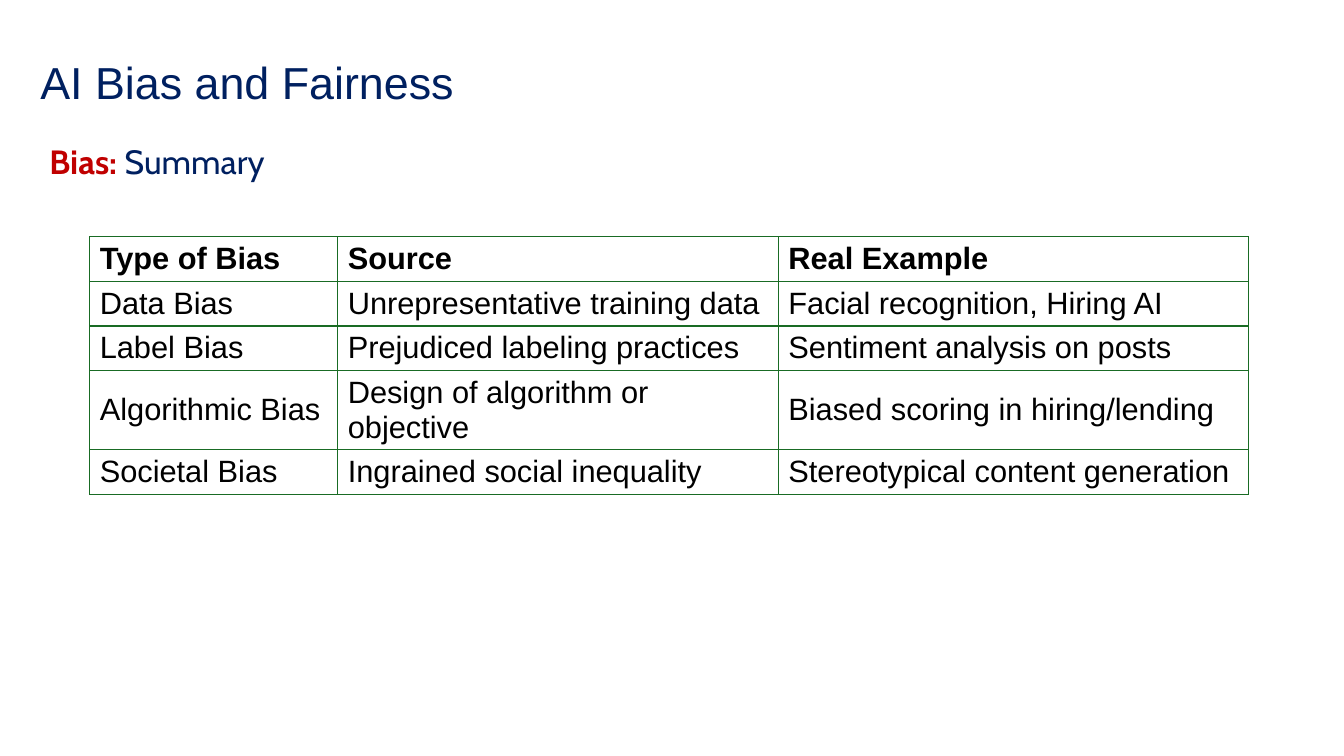
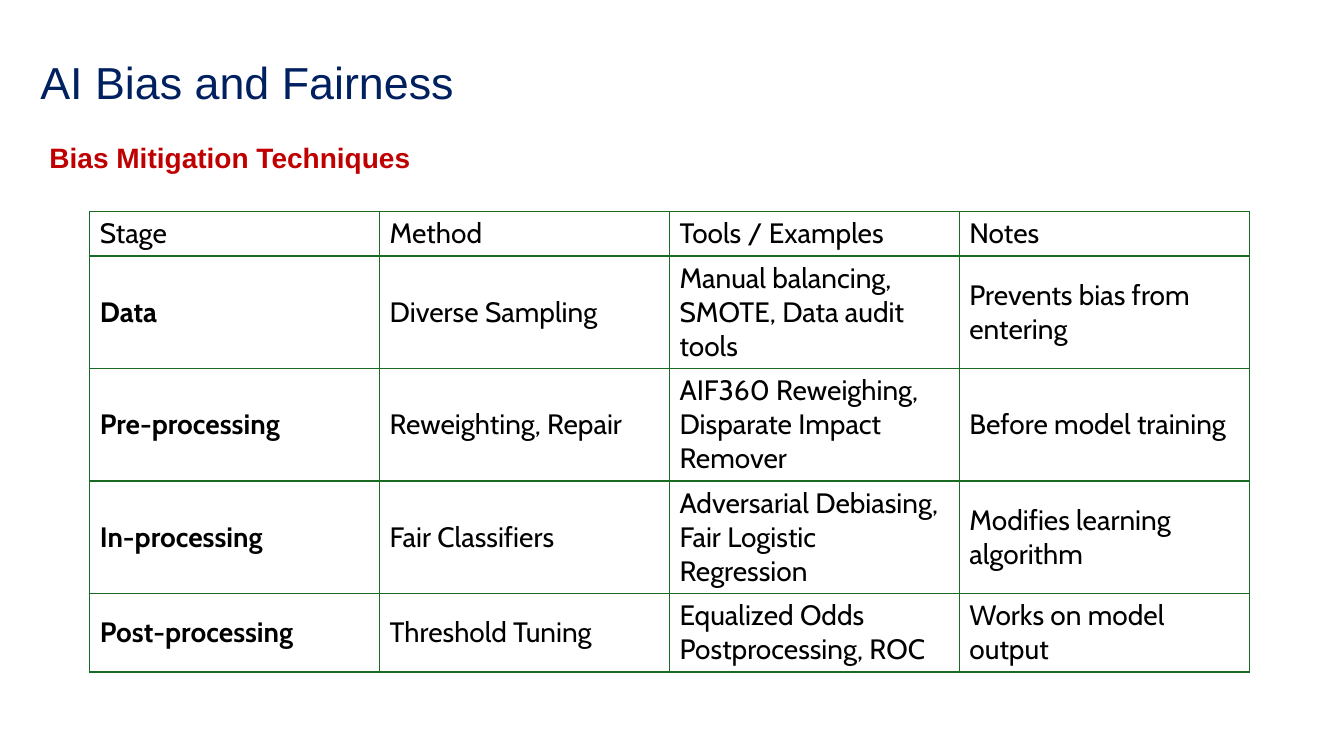
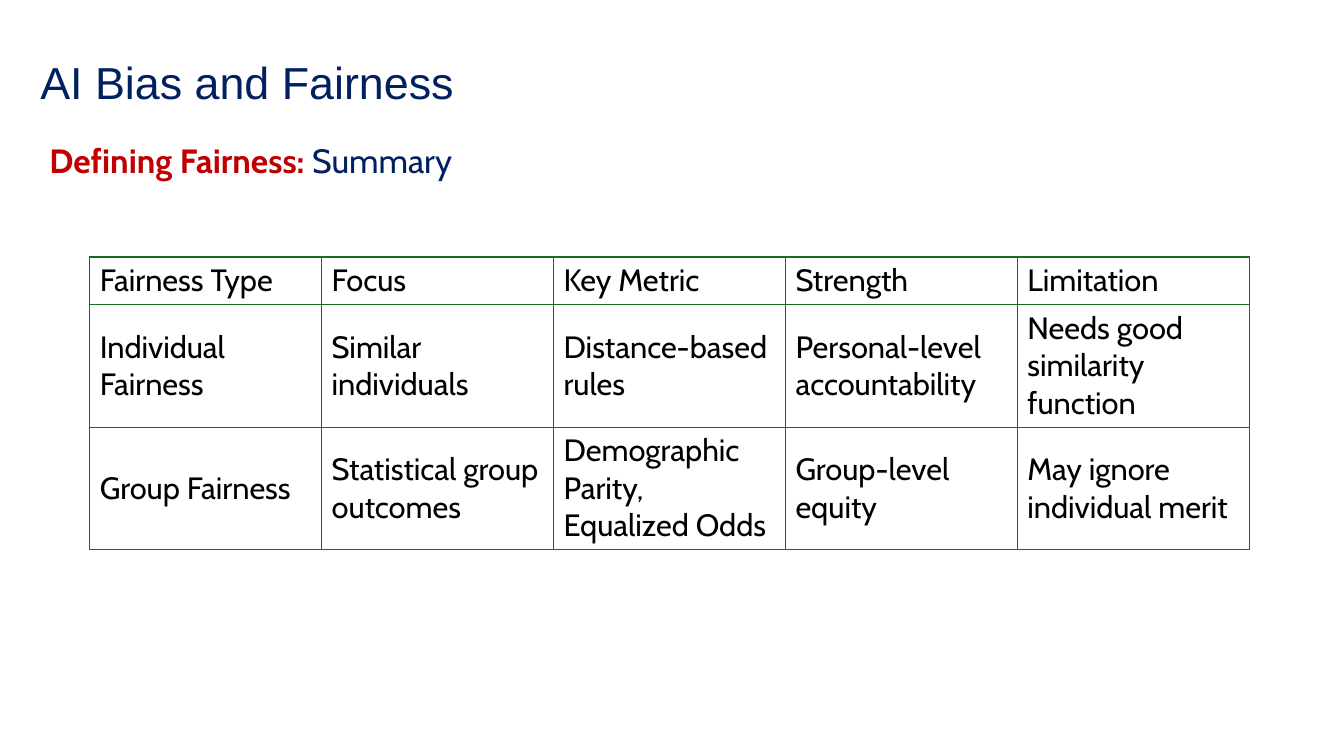
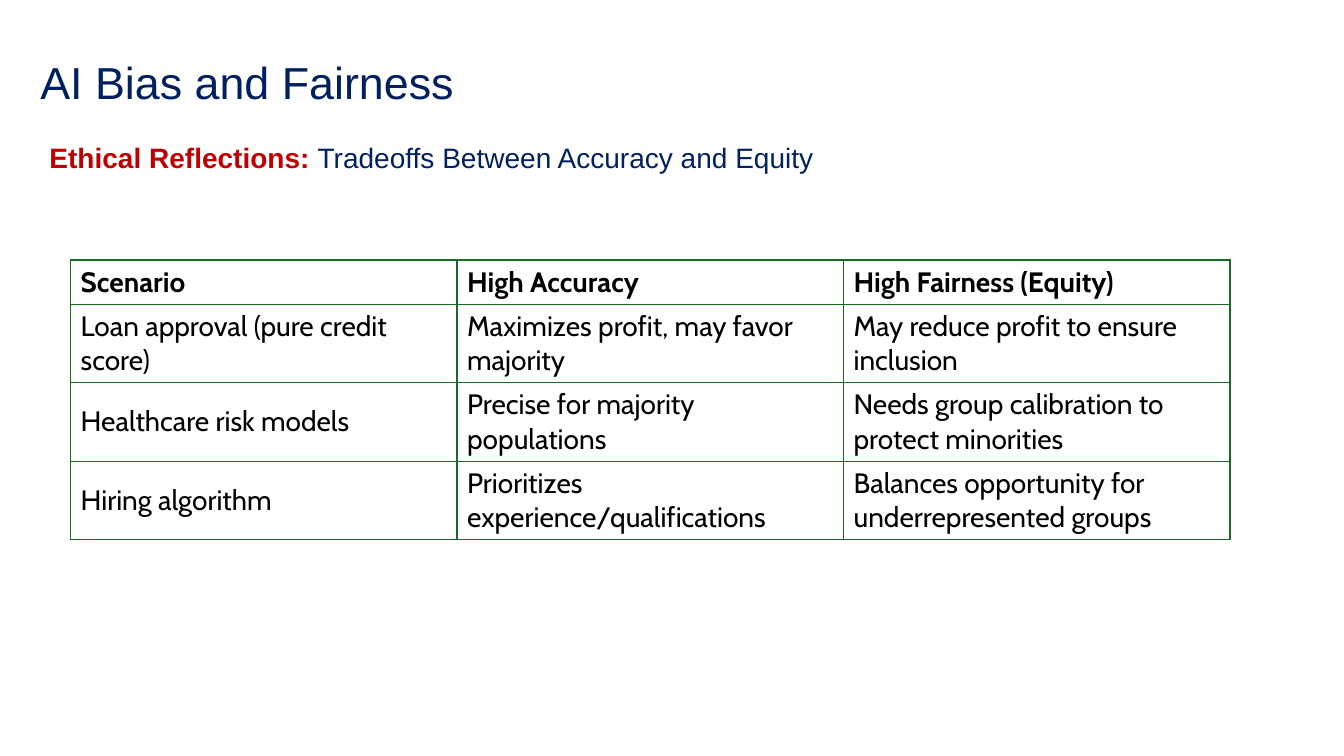
from lxml import etree
from pptx import Presentation
from pptx.dml.color import RGBColor
from pptx.enum.text import MSO_ANCHOR, MSO_AUTO_SIZE, PP_ALIGN
from pptx.oxml.ns import qn
from pptx.util import Inches, Pt

# Shared style
NAVY, RED, GREEN, BLACK = "002060", "C00000", "196B24", "000000"
TITLE = "AI Bias and Fairness"
TITLE_BOX = (0.3, 0.19, 12.68, 0.98)
TABLE_WIDTH = 11.5

# Content: one entry per slide
SLIDES = [
    {
        "topic": "Bias: ", "detail": "Summary",
        "topic_font": "Cabin", "topic_size": 24, "topic_box": (0.39, 1.39, 6.79, 5.65),
        "font": "Arial", "size": 22, "bold_header": True, "bold_stage": False,
        "at": (0.89, 2.35), "columns": [2.46, 4.37, 4.66],
        "heights": [0.44, 0.44, 0.44, 0.78, 0.44],
        "rows": [
            ("Type of Bias", "Source", "Real Example"),
            ("Data Bias", "Unrepresentative training data", "Facial recognition, Hiring AI"),
            ("Label Bias", "Prejudiced labeling practices", "Sentiment analysis on posts"),
            ("Algorithmic Bias", "Design of algorithm or objective",
             "Biased scoring in hiring/lending"),
            ("Societal Bias", "Ingrained social inequality", "Stereotypical content generation"),
        ],
    },
    {
        "topic": "Bias Mitigation Techniques", "detail": "",
        "topic_font": "Arial", "topic_size": 20, "topic_box": (0.39, 1.38, 6.79, 5.65),
        "font": "Cabin", "size": 20, "bold_header": False, "bold_stage": True,
        "at": (0.89, 2.1), "columns": [TABLE_WIDTH / 4] * 4,
        "heights": [0.44, 1.11, 1.11, 1.11, 0.77],
        "rows": [
            ("Stage", "Method", "Tools / Examples", "Notes"),
            ("Data", "Diverse Sampling", "Manual balancing, SMOTE, Data audit tools",
             "Prevents bias from entering"),
            ("Pre-processing", "Reweighting, Repair",
             "AIF360 Reweighing, Disparate Impact Remover", "Before model training"),
            ("In-processing", "Fair Classifiers",
             "Adversarial Debiasing, Fair Logistic Regression", "Modifies learning algorithm"),
            ("Post-processing", "Threshold Tuning", "Equalized Odds Postprocessing, ROC",
             "Works on model output"),
        ],
    },
    {
        "topic": "Defining Fairness: ", "detail": "Summary",
        "topic_font": "Cabin", "topic_size": 24, "topic_box": (0.39, 1.38, 6.79, 5.65),
        "font": "Cabin", "size": 22, "bold_header": False, "bold_stage": False,
        "at": (0.89, 2.55), "columns": [TABLE_WIDTH / 5] * 5,
        "heights": [0.47, 1.21, 1.21],
        "rows": [
            ("Fairness Type", "Focus", "Key Metric", "Strength", "Limitation"),
            ("Individual Fairness", "Similar individuals", "Distance-based rules",
             "Personal-level accountability", "Needs good similarity function"),
            ("Group Fairness", "Statistical group outcomes",
             "Demographic Parity, Equalized Odds", "Group-level equity",
             "May ignore individual merit"),
        ],
    },
    {
        "topic": "Ethical Reflections: ", "detail": "Tradeoffs Between Accuracy and Equity",
        "topic_font": "Arial", "topic_size": 20, "topic_box": (0.39, 1.38, 8.21, 5.65),
        "font": "Cabin", "size": 20, "bold_header": True, "bold_stage": False,
        "at": (0.7, 2.58), "columns": [TABLE_WIDTH / 3] * 3,
        "heights": [0.44, 0.77, 0.77, 0.77],
        "rows": [
            ("Scenario", "High Accuracy", "High Fairness (Equity)"),
            ("Loan approval (pure credit score)", "Maximizes profit, may favor majority",
             "May reduce profit to ensure inclusion"),
            ("Healthcare risk models", "Precise for majority populations",
             "Needs group calibration to protect minorities"),
            ("Hiring algorithm", "Prioritizes experience/qualifications",
             "Balances opportunity for underrepresented groups"),
        ],
    },
]


def add_text(paragraph, text, *, font, size, color, bold=False):
    run = paragraph.add_run()
    run.text = text
    run.font.name = font
    run.font.size = Pt(size)
    run.font.bold = bold
    run.font.color.rgb = RGBColor.from_string(color)


def place(placeholder, box, anchor, line_spacing):
    """Move a placeholder and return its first paragraph, left-aligned."""
    placeholder.left, placeholder.top, placeholder.width, placeholder.height = map(Inches, box)
    frame = placeholder.text_frame
    frame.word_wrap = True
    frame.auto_size = MSO_AUTO_SIZE.NONE
    frame.vertical_anchor = anchor
    paragraph = frame.paragraphs[0]
    paragraph.alignment = PP_ALIGN.LEFT
    paragraph.line_spacing = line_spacing
    paragraph.space_before = Pt(0)
    return paragraph


def add_borders(cell):
    properties = cell._tc.get_or_add_tcPr()
    for position, side in enumerate(("a:lnL", "a:lnR", "a:lnT", "a:lnB")):
        line = etree.Element(qn(side), w=str(Pt(1)))
        fill = etree.SubElement(line, qn("a:solidFill"))
        etree.SubElement(fill, qn("a:srgbClr"), val=GREEN)
        properties.insert(position, line)


def add_summary_table(slide, content):
    rows, columns, heights = content["rows"], content["columns"], content["heights"]
    left, top = content["at"]
    table = slide.shapes.add_table(
        len(rows), len(columns), Inches(left), Inches(top),
        Inches(sum(columns)), Inches(sum(heights))).table
    table.first_row = table.horz_banding = False
    for column, width in zip(table.columns, columns):
        column.width = Inches(width)
    for r, (row, height) in enumerate(zip(rows, heights)):
        table.rows[r].height = Inches(height)
        for c, text in enumerate(row):
            cell = table.cell(r, c)
            cell.vertical_anchor = MSO_ANCHOR.MIDDLE
            cell.fill.background()
            add_borders(cell)
            bold = content["bold_header"] if r == 0 else content["bold_stage"] and c == 0
            add_text(cell.text_frame.paragraphs[0], text, font=content["font"],
                     size=content["size"], color=BLACK, bold=bold)


def build_slide(deck, content):
    slide = deck.slides.add_slide(deck.slide_layouts[1])

    # Title
    title = place(slide.shapes.title, TITLE_BOX, MSO_ANCHOR.MIDDLE, 1.5)
    add_text(title, TITLE, font="Arial", size=32, color=NAVY)

    # Topic line, without a bullet
    topic = place(slide.placeholders[1], content["topic_box"], MSO_ANCHOR.TOP, 0.9)
    properties = topic._p.get_or_add_pPr()
    properties.set("marL", "0")
    properties.set("indent", "0")
    etree.SubElement(properties, qn("a:buNone"))
    style = {"font": content["topic_font"], "size": content["topic_size"]}
    add_text(topic, content["topic"], color=RED, bold=True, **style)
    if content["detail"]:
        add_text(topic, content["detail"], color=NAVY, **style)

    add_summary_table(slide, content)


def main():
    deck = Presentation()
    deck.slide_width, deck.slide_height = Inches(13.33), Inches(7.5)
    for content in SLIDES:
        build_slide(deck, content)
    deck.save("out.pptx")


if __name__ == "__main__":
    main()
